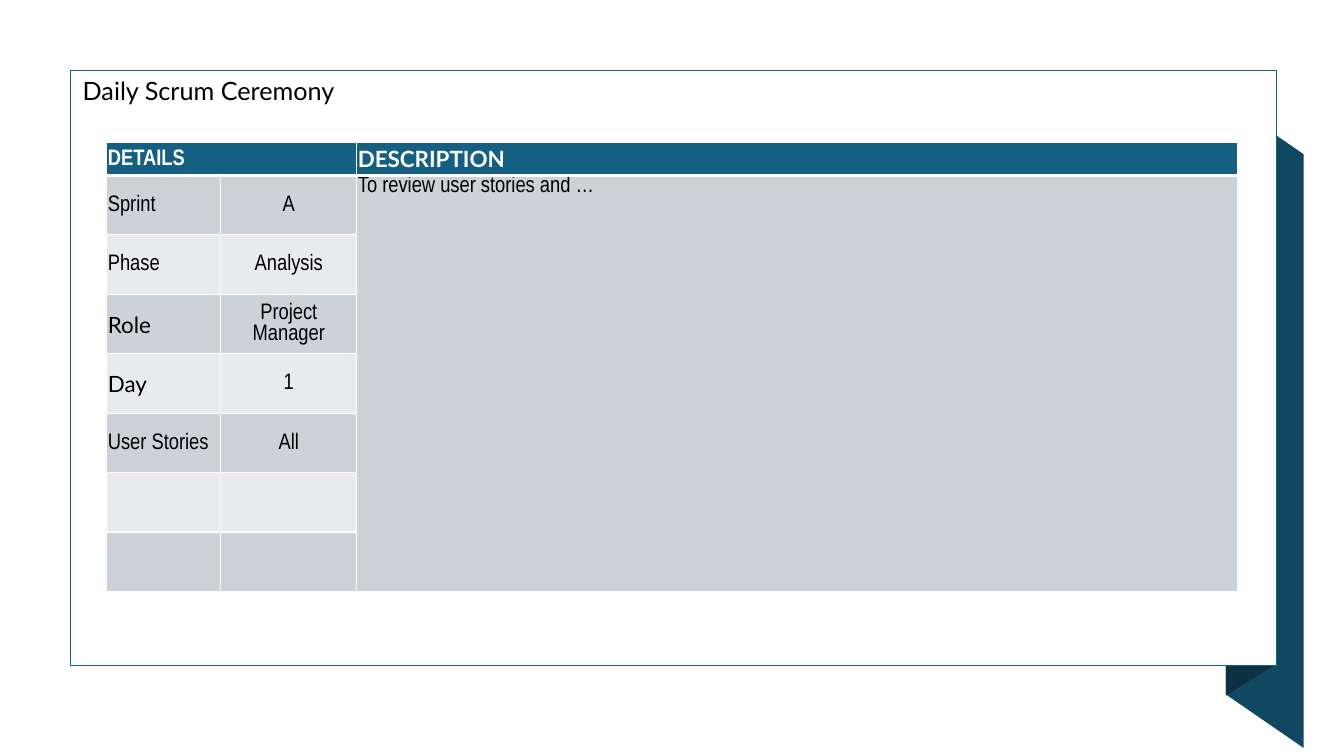
from dataclasses import dataclass

from lxml import etree
from pptx import Presentation
from pptx.dml.color import RGBColor
from pptx.enum.shapes import MSO_SHAPE
from pptx.enum.text import MSO_ANCHOR, PP_ALIGN
from pptx.oxml.ns import qn
from pptx.util import Inches, Pt

LEFT, CENTER = PP_ALIGN.LEFT, PP_ALIGN.CENTER
TOP, MIDDLE = MSO_ANCHOR.TOP, MSO_ANCHOR.MIDDLE


@dataclass(frozen=True)
class Theme:
    accent: str = "156082"
    ribbon: str = "104862"
    fold: str = "0B3041"
    band_dark: str = "CCD2D8"
    band_light: str = "E8EAED"
    white: str = "FFFFFF"
    black: str = "000000"
    narrow: str = "Arial Narrow"
    wide: str = "Lato"
    title_size: int = 18
    table_size: int = 16


THEME = Theme()

TITLE = "Daily Scrum Ceremony"
HEADINGS = [("DETAILS", THEME.narrow), None, ("DESCRIPTION", THEME.wide)]
DETAILS = [
    ("Sprint", "A", THEME.narrow),
    ("Phase", "Analysis", THEME.narrow),
    ("Role", "Project Manager", THEME.wide),
    ("Day", "1", THEME.wide),
    ("User Stories", "All", THEME.narrow),
    ("", "", THEME.narrow),
    ("", "", THEME.narrow),
]
DESCRIPTION = "To review user stories and …"

CARD = (0.7, 0.7, 11.96, 5.9)
TITLE_BOX = (0.72, 0.7, 2.74, 0.4)
TABLE_ORIGIN = (1.06, 1.41)
COLUMN_WIDTHS = [1.13, 1.35, 8.73]
HEADER_HEIGHT, ROW_HEIGHT = 0.33, 0.59
RIBBON = [(12.93, 7.42), (12.16, 6.89), (12.16, 1), (12.93, 1.53)]
FOLD = [(12.62, 6.61), (12.16, 6.9), (12.16, 1), (12.62, 0.7)]


def color(value):
    return RGBColor.from_string(value)


def write_text(frame, text, font=THEME.narrow, size=THEME.table_size,
               fill=THEME.black, bold=False, align=LEFT):
    paragraph = frame.paragraphs[0]
    paragraph.alignment = align
    paragraph.font.size = Pt(size)
    if text:
        run = paragraph.add_run()
        run.text = text
        run.font.name = font
        run.font.size = Pt(size)
        run.font.bold = bold
        run.font.color.rgb = color(fill)


def paint(shape, fill, line=None):
    shape.shadow.inherit = False
    shape.fill.solid()
    shape.fill.fore_color.rgb = color(fill)
    if line:
        shape.line.color.rgb = color(line)
        shape.line.width = Pt(1)
    else:
        shape.line.fill.background()


def add_panel(slide, points, fill):
    corners = [(Inches(x), Inches(y)) for x, y in points]
    builder = slide.shapes.build_freeform(*corners[0])
    builder.add_line_segments(corners[1:], close=True)
    paint(builder.convert_to_shape(), fill)


def format_cell(cell, fill, anchor=MIDDLE, bottom=1):
    """Set fill, margins, anchor and white borders; bottom is in points."""
    cell.margin_left = cell.margin_right = cell.margin_top = Inches(0.01)
    cell.margin_bottom = 0
    cell.vertical_anchor = anchor
    properties = cell._tc.get_or_add_tcPr()
    for side, width in (("L", 1), ("R", 1), ("T", 1), ("B", bottom)):
        border = etree.SubElement(properties, qn(f"a:ln{side}"), w=str(Pt(width)))
        solid = etree.SubElement(border, qn("a:solidFill"))
        etree.SubElement(solid, qn("a:srgbClr"), val=THEME.white)
    cell.fill.solid()
    cell.fill.fore_color.rgb = color(fill)


def add_details_table(slide):
    left, top = TABLE_ORIGIN
    heights = [HEADER_HEIGHT] + [ROW_HEIGHT] * len(DETAILS)
    table = slide.shapes.add_table(
        len(heights), len(COLUMN_WIDTHS), Inches(left), Inches(top),
        Inches(sum(COLUMN_WIDTHS)), Inches(sum(heights))).table
    for column, width in zip(table.columns, COLUMN_WIDTHS):
        column.width = Inches(width)
    for row, height in zip(table.rows, heights):
        row.height = Inches(height)

    for index, heading in enumerate(HEADINGS):
        cell = table.cell(0, index)
        format_cell(cell, THEME.accent, bottom=3)
        if heading:
            text, font = heading
            write_text(cell.text_frame, text, font=font, fill=THEME.white, bold=True)

    for index, (label, value, label_font) in enumerate(DETAILS, start=1):
        band = THEME.band_dark if index % 2 else THEME.band_light
        label_cell, value_cell, description_cell = table.rows[index].cells
        format_cell(label_cell, band)
        write_text(label_cell.text_frame, label, font=label_font)
        format_cell(value_cell, band)
        write_text(value_cell.text_frame, value, align=CENTER)
        format_cell(description_cell, THEME.band_dark, anchor=TOP)

    write_text(table.cell(1, 2).text_frame, DESCRIPTION)
    table.cell(0, 0).merge(table.cell(0, 1))
    table.cell(1, 2).merge(table.cell(len(DETAILS), 2))


def add_title(slide):
    title = slide.shapes.title
    title.left, title.top, title.width, title.height = map(Inches, TITLE_BOX)
    title.text_frame.word_wrap = False
    title.text_frame.vertical_anchor = TOP
    write_text(title.text_frame, TITLE, font=THEME.wide, size=THEME.title_size)
    slide.shapes._spTree.append(title._element)  # in front of the card


def main():
    presentation = Presentation()
    presentation.slide_width, presentation.slide_height = Inches(13.33), Inches(7.5)
    slide = presentation.slides.add_slide(presentation.slide_layouts[5])
    add_panel(slide, RIBBON, THEME.ribbon)
    add_panel(slide, FOLD, THEME.fold)
    card = slide.shapes.add_shape(MSO_SHAPE.RECTANGLE, *map(Inches, CARD))
    paint(card, THEME.white, line=THEME.accent)
    add_details_table(slide)
    add_title(slide)
    presentation.save("out.pptx")


if __name__ == "__main__":
    main()
